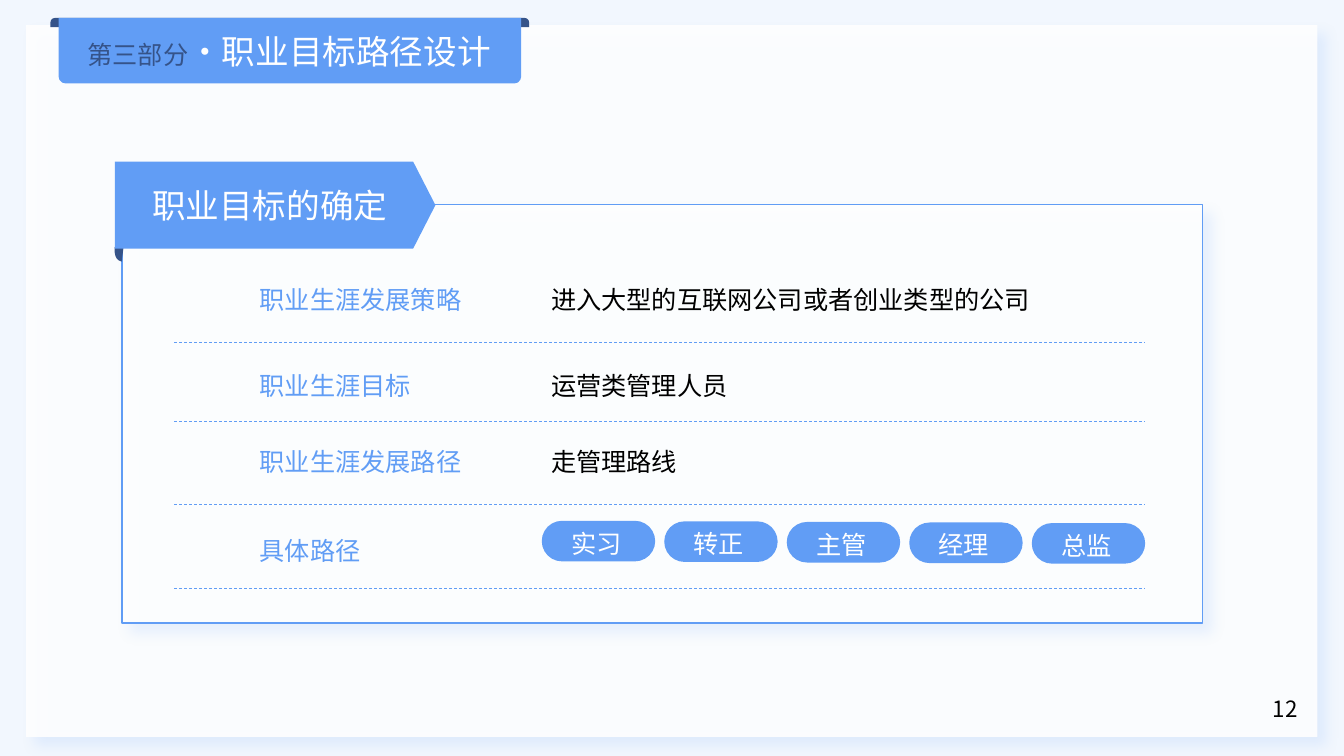
import dataclasses

import pptx
import pptx.dml.color
import pptx.enum.dml
import pptx.enum.shapes
import pptx.enum.text
import pptx.oxml
import pptx.oxml.ns
import pptx.util

Pt = pptx.util.Pt
RGB = pptx.dml.color.RGBColor.from_string
SHAPE = pptx.enum.shapes.MSO_SHAPE
ALIGN = pptx.enum.text.PP_ALIGN
MID = pptx.enum.text.MSO_ANCHOR.MIDDLE
NS = 'xmlns:a="http://schemas.openxmlformats.org/drawingml/2006/main"'


@dataclasses.dataclass(frozen=True)
class Theme:
    back: str = "F2F7FE"
    blue: str = "619DF5"
    navy: str = "355389"
    white: str = "FFFFFF"
    black: str = "000000"
    face: str = "Noto Sans CJK SC"
    head: int = 24
    body: int = 18
    page: int = 16


T = Theme()


def put(item, values):
    for name, value in values.items():
        setattr(item, name, value)


def xml(text):
    return pptx.oxml.parse_xml(text)


def write(shape, runs, align=ALIGN.LEFT, **frame):
    """Fill a shape with one line of (text, size, colour) runs."""
    put(shape.text_frame, {"word_wrap": False, **frame})
    para = shape.text_frame.paragraphs[0]
    para.alignment = align
    for text, size, colour in runs:
        run = para.add_run()
        run.text = text
        put(run.font, {"size": Pt(size), "name": T.face})
        run.font.color.rgb = RGB(colour)
        props = run.font._element
        props.set("lang", "zh-CN")
        props.find(pptx.oxml.ns.qn("a:latin")).addnext(
            xml(f'<a:ea {NS} typeface="{T.face}"/>'))


def label(slide, box, runs, align=ALIGN.LEFT):
    shape = slide.shapes.add_textbox(*map(Pt, box))
    write(shape, runs, align)


def paint(shape, colour):
    shape.shadow.inherit = False
    shape.fill.solid()
    shape.fill.fore_color.rgb = RGB(colour)
    shape.line.fill.background()


def block(slide, kind, box, colour, *adjust):
    shape = slide.shapes.add_shape(kind, *map(Pt, box))
    paint(shape, colour)
    for i, value in enumerate(adjust):
        shape.adjustments[i] = value
    return shape


def card(slide, box, edge=False):
    """Translucent white sheet with a soft blue shadow."""
    shape = block(slide, SHAPE.RECTANGLE, box, T.white)
    if edge:
        shape.line.color.rgb = RGB(T.blue)
        shape.line.width = Pt(1)
    props = shape._element.spPr
    props.find(".//" + pptx.oxml.ns.qn("a:srgbClr")).append(
        xml(f'<a:alpha {NS} val="88000"/>'))
    props.find(pptx.oxml.ns.qn("a:effectLst")).append(xml(
        f'<a:outerShdw {NS} blurRad="{Pt(9)}" dist="{Pt(9)}" dir="2700000" '
        'algn="tl" rotWithShape="0">'
        f'<a:srgbClr val="{T.blue}"><a:alpha val="15000"/></a:srgbClr>'
        '</a:outerShdw>'))


def banner(slide, x, y, w, h):
    """Section tab hanging from the top edge."""
    block(slide, SHAPE.ROUND_2_SAME_RECTANGLE, (x, y, w, 6.5), T.navy, 0.5, 0)
    tab = block(slide, SHAPE.ROUND_2_SAME_RECTANGLE,
                (x + 5.8, y, w - 11.5, h), T.blue, 0.107, 0)
    tab.rotation = 180
    label(slide, (x + 19.4, y + 5.7, 317.5, 36),
          [("第三部分", T.body, T.navy),
           ("·职业目标路径设计", T.head, T.white)])


def ribbon(slide, x, y, w, h):
    """Arrow heading with a curled fold below its left end."""
    start, bend, tip = (0, 61), (-1.4, 70.4), (5, 71.3)
    curl = []
    for i in range(9):
        t = i / 8
        parts = ((1 - t) ** 2 * (1 + 2 * t), 3 * t * t * (1 - t), t ** 3)
        curl.append(tuple(
            Pt(base + sum(k * p[axis] for k, p in zip(parts, (start, bend, tip))))
            for axis, base in enumerate((x, y))))
    curl.append((Pt(x + 7.2), Pt(y + 53.3)))
    pen = slide.shapes.build_freeform(*curl[0])
    pen.add_line_segments(curl[1:], close=True)
    paint(pen.convert_to_shape(), T.navy)
    arrow = block(slide, SHAPE.PENTAGON, (x, y, w, h), T.blue, 0.256)
    write(arrow, [("职业目标的确定", T.head, T.white)],
          margin_left=Pt(26.6), vertical_anchor=MID)


def rows(slide, x, y, w):
    """Topics with answers, each closed by a dashed rule."""
    items = [("职业生涯发展策略", "进入大型的互联网公司或者创业类型的公司", 0, 45.4),
             ("职业生涯目标", "运营类管理人员", 61.9, 101.6),
             ("职业生涯发展路径", "走管理路线", 115.9, 160.6),
             ("具体路径", "", 179.3, 221)]
    for topic, answer, top, rule in items:
        label(slide, (x + 54, y + top, 160, 29), [(topic, T.body, T.blue)])
        if answer:
            label(slide, (x + 262, y + top, 367, 29),
                  [(answer, T.body, T.black)])
        line = slide.shapes.add_connector(
            pptx.enum.shapes.MSO_CONNECTOR.STRAIGHT,
            *map(Pt, (x, y + rule, x + w, y + rule)))
        put(line.line, {"width": Pt(0.5),
                        "dash_style": pptx.enum.dml.MSO_LINE.DASH})
        line.line.color.rgb = RGB(T.blue)
        line._element.spPr.append(xml(f"<a:effectLst {NS}/>"))


def steps(slide, x, y, w, h):
    """Row of equally spaced career pills, sinking slightly to the right."""
    names = ["实习", "转正", "主管", "经理", "总监"]
    wide = 81
    gap = (w - wide) / (len(names) - 1)
    for i, name in enumerate(names):
        pill = block(slide, SHAPE.ROUNDED_RECTANGLE,
                     (x + i * gap, y + i * 0.4, wide, h), T.blue, 0.5)
        write(pill, [(name, T.body, T.white)], ALIGN.CENTER,
              vertical_anchor=MID, margin_left=0, margin_right=Pt(2.9),
              margin_top=Pt(2.8), margin_bottom=0)


def main():
    deck = pptx.Presentation()
    put(deck, {"slide_width": Pt(960), "slide_height": Pt(540)})
    slide = deck.slides.add_slide(deck.slide_layouts[6])
    slide.background.fill.solid()
    slide.background.fill.fore_color.rgb = RGB(T.back)

    # Page sheet and content panel
    card(slide, (18.7, 18, 922.3, 508.3))
    card(slide, (87.1, 146.2, 771.8, 298.8), edge=True)
    label(slide, (900, 493.2, 36, 28.8), [("12", T.page, T.black)],
          ALIGN.CENTER)

    # Headings, then the panel's rows
    banner(slide, 36, 12.8, 342, 46.8)
    ribbon(slide, 82, 115.5, 229, 62)
    rows(slide, 124.5, 199.4, 693.5)
    steps(slide, 387, 372, 431, 29)
    deck.save("out.pptx")


if __name__ == "__main__":
    main()
